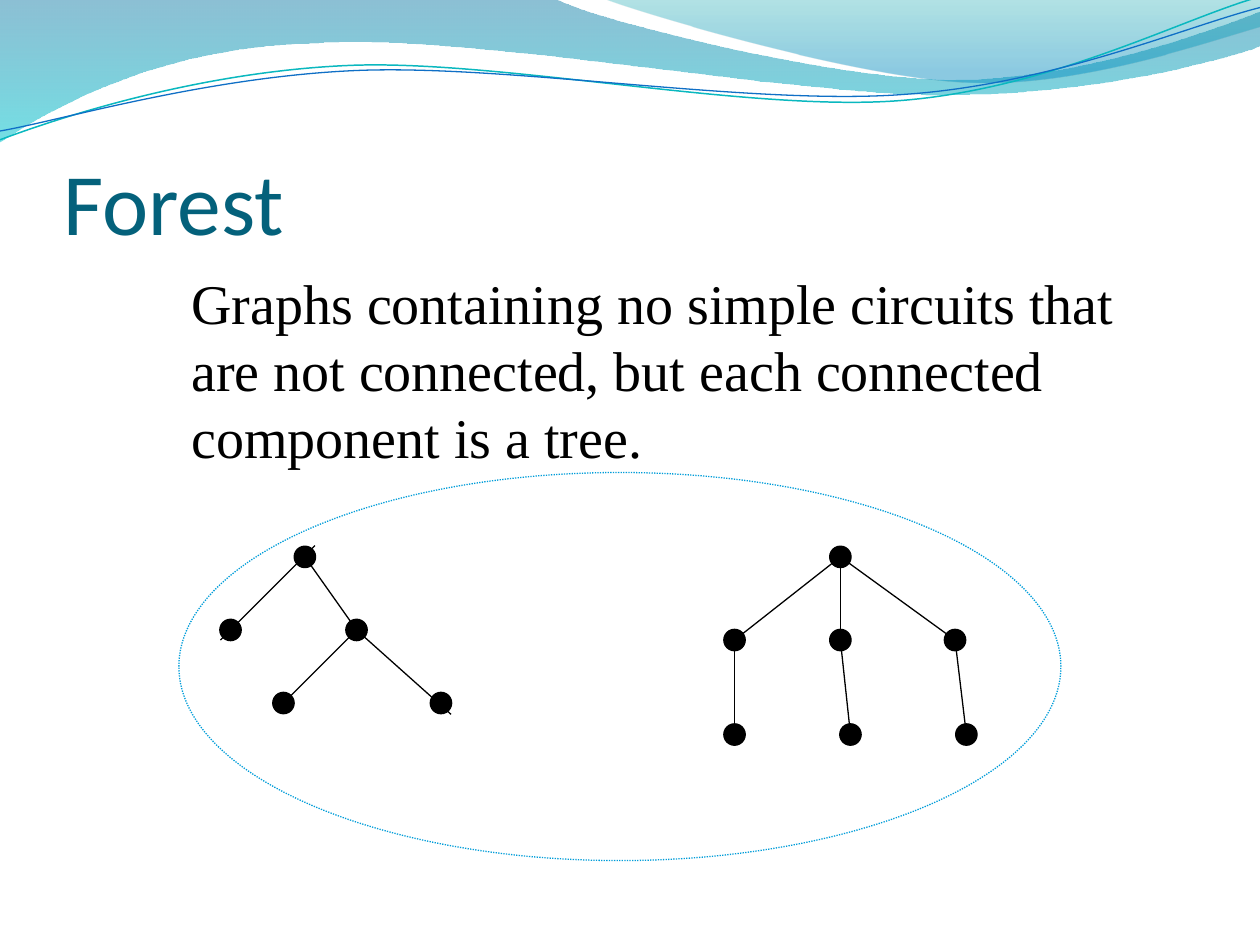
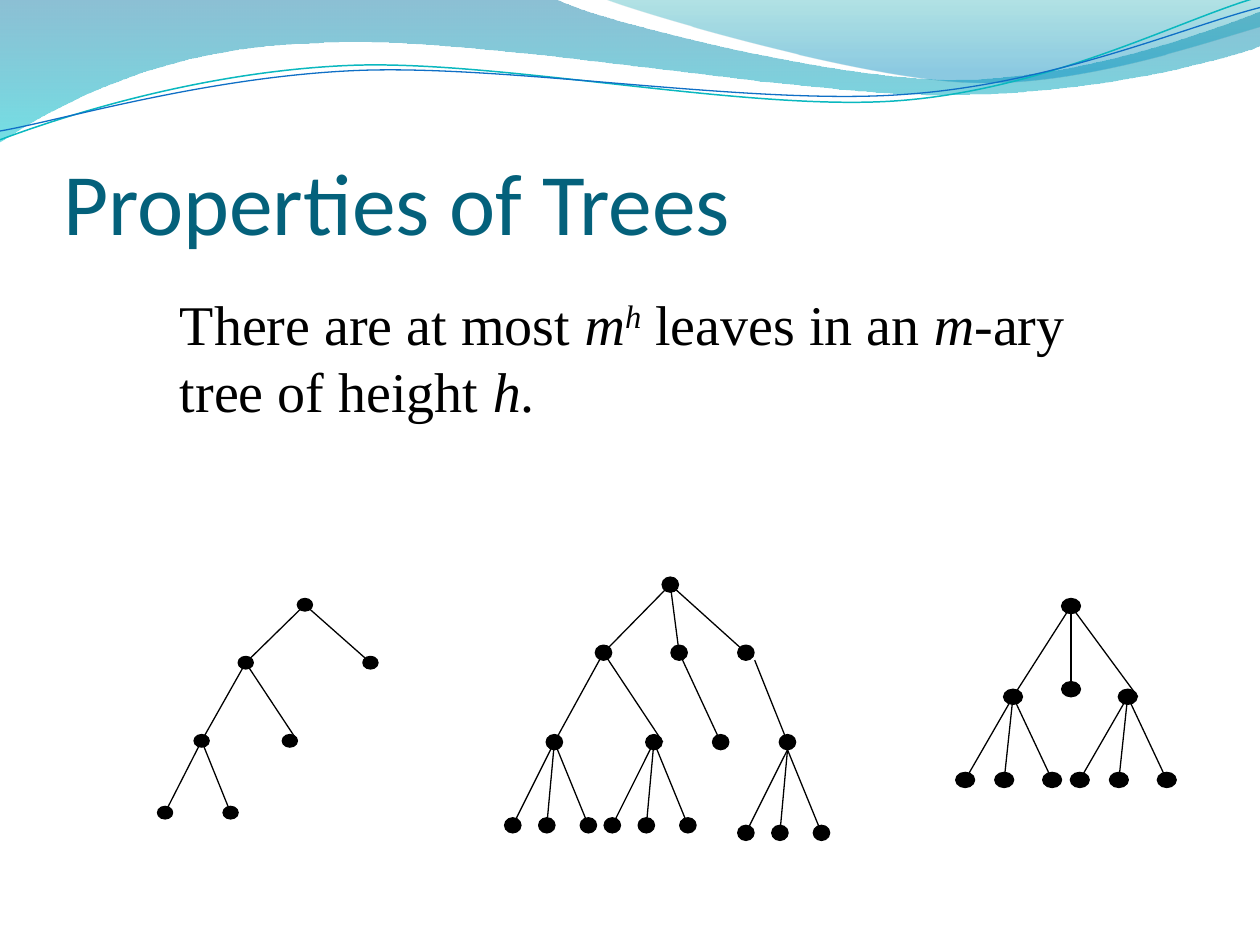
import pptx
import pptx.dml.color
import pptx.enum.dml
import pptx.enum.shapes
import pptx.enum.text
import pptx.oxml.ns
import pptx.util
from lxml import etree

COLORS = {
    "ink": "000000", "title": "04617B", "outline": "009DD9",
    "teal_line": "0AB8BF", "blue_line": "0F6FC6",
    "deep_blue": "0074A1", "cyan": "00C6CF", "teal": "00A1A9", "sky": "008BBF",
}

BROAD_WAVE = [
    [(0, 0)], [(4.4, -0.01)],
    [(4.76, 0.17), (6.64, 0.63), (7.58, 0.63)],
    [(8.53, 0.63), (9.58, 0.26), (10, 0.09)], [(10.01, 0.36)],
    [(9.83, 0.44), (8.7, 0.76), (7.46, 0.75)],
    [(6.22, 0.75), (3.82, 0.28), (2.57, 0.34)],
    [(1.29, 0.36), (0.46, 0.83), (-0.01, 1.13)], [(0, 0)],
]
RIGHT_WAVE = [
    [(4.79, -0.01)],
    [(5.09, 0.11), (6.82, 0.62), (7.69, 0.65)],
    [(8.56, 0.69), (9.61, 0.32), (10, 0.21)], [(10, 0)], [(4.79, -0.01)],
]
TEAL_CURVE = [
    [(0, 1.11)],
    [(0.48, 0.93), (1.58, 0.57), (2.77, 0.52)],
    [(3.95, 0.47), (5.93, 0.89), (7.13, 0.8)],
    [(8.33, 0.71), (9.38, 0.15), (9.98, -0.02)],
]
BLUE_CURVE = [
    [(0, 1.04)],
    [(0.47, 0.96), (1.64, 0.61), (2.83, 0.56)],
    [(4.03, 0.51), (5.97, 0.84), (7.17, 0.75)],
    [(8.36, 0.67), (9.41, 0.21), (10, 0.06)],
]


def inches(*values):
    return [pptx.util.Cm(2.54 * value) for value in values]


def rgb(name):
    return pptx.dml.color.RGBColor.from_string(COLORS[name])


def fan(apex, offsets, drop):
    return [(apex[0] + offset, apex[1] + drop) for offset in offsets]


class TreeDeck:
    """Draws the wave-banded slides about trees, one element at a time."""

    def __init__(self):
        self.deck = pptx.Presentation()
        self.deck.slide_width, self.deck.slide_height = inches(10, 7.5)
        self.layout = self.deck.slide_layouts[6]
        self.page = None

    def new_page(self, title):
        first = self.page is None
        self.page = self.deck.slides.add_slide(self.layout)
        if first:
            self.band()
        frame = self.text((0.5, 0.77, 9.08, 1.24), [(title, "")], "Calibri", 50, "title")
        frame.vertical_anchor = pptx.enum.text.MSO_ANCHOR.BOTTOM
        frame.margin_left, frame.margin_top, frame.margin_right, frame.margin_bottom = inches(
            0, 0.05, 0, 0)

    def band(self):
        self.wave(BROAD_WAVE, [("deep_blue", 45, 0), ("cyan", 55, 1)])
        self.wave(RIGHT_WAVE, [("teal", 30, 0), ("sky", 45, 0.8)])
        self.curve(TEAL_CURVE, "teal_line", 0.85)
        self.curve(BLUE_CURVE, "blue_line", 0.75)
        shared = self.layout.shapes._spTree
        for number, shape in enumerate(list(self.page.shapes), start=101):
            shape._element.nvSpPr.cNvPr.set("id", str(number))
            shared.append(shape._element)

    def freeform(self, segments, close):
        points = [inches(*point) for segment in segments for point in segment]
        builder = self.page.shapes.build_freeform(*points[0])
        builder.add_line_segments(points[1:], close=close)
        shape = builder.convert_to_shape()
        shape.shadow.inherit = False
        steps = iter(list(shape._element.iter(pptx.oxml.ns.qn("a:lnTo"))))
        for segment in segments[1:]:
            corners = [next(steps) for point in segment]
            if len(corners) == 3:
                bend = etree.Element(pptx.oxml.ns.qn("a:cubicBezTo"))
                corners[0].addprevious(bend)
                for corner in corners:
                    bend.append(corner[0])
                    corner.getparent().remove(corner)
        return shape

    def wave(self, segments, stops):
        shape = self.freeform(segments, True)
        shape.line.fill.background()
        shape.fill.gradient()
        shape.fill.gradient_angle = 270
        for stop, (color, opacity, position) in zip(shape.fill.gradient_stops, stops):
            stop.color.rgb = rgb(color)
            stop.position = position
        tags = shape.fill._xPr.iter(pptx.oxml.ns.qn("a:srgbClr"))
        for tag, (color, opacity, position) in zip(tags, stops):
            etree.SubElement(tag, pptx.oxml.ns.qn("a:alpha"), val=str(opacity * 1000))

    def curve(self, segments, color, width):
        shape = self.freeform(segments, False)
        shape.fill.background()
        self.stroke(shape, color, width)

    def stroke(self, shape, color="ink", width=0.75):
        shape.line.color.rgb = rgb(color)
        shape.line.width = pptx.util.Pt(width)

    def text(self, place, spans, font, size, color="ink"):
        frame = self.page.shapes.add_textbox(*inches(*place)).text_frame
        frame.word_wrap = True
        para = frame.paragraphs[0]
        for words, style in spans:
            span = para.add_run()
            span.text = words
            span.font.name = font
            span.font.size = pptx.util.Pt(size)
            span.font.color.rgb = rgb(color)
            span.font.italic = "italic" in style
            if "super" in style:
                span.font._element.set("baseline", "30000")
        return frame

    def statement(self, place, spans):
        frame = self.text(place, spans, "Times New Roman", 32)
        frame.auto_size = pptx.enum.text.MSO_AUTO_SIZE.SHAPE_TO_FIT_TEXT

    def ellipse(self, shapes, place):
        shape = shapes.add_shape(pptx.enum.shapes.MSO_SHAPE.OVAL, *inches(*place))
        shape.shadow.inherit = False
        self.stroke(shape)
        return shape

    def enclosure(self, place):
        shape = self.ellipse(self.page.shapes, place)
        shape.fill.background()
        self.stroke(shape, "outline")
        shape.line.dash_style = pptx.enum.dml.MSO_LINE.ROUND_DOT

    def tree(self, nodes, edges, size, grouped=True):
        shapes = self.page.shapes
        if grouped:
            shapes = shapes.add_group_shape().shapes
        width, height = size
        for x, y in nodes:
            node = self.ellipse(shapes, (x - width / 2, y - height / 2, width, height))
            node.fill.solid()
            node.fill.fore_color.rgb = rgb("ink")
        for edge in edges:
            start, end = [nodes[stop] if isinstance(stop, int) else stop for stop in edge]
            line = shapes.add_connector(pptx.enum.shapes.MSO_CONNECTOR.STRAIGHT,
                                        *inches(*start, *end))
            self.stroke(line)
            etree.SubElement(line._element.spPr, pptx.oxml.ns.qn("a:effectLst"))


def forest_page(deck):
    deck.new_page("Forest")
    deck.statement((1.42, 2.08, 8.17, 1.7), [
        ("Graphs containing no simple circuits that are not connected, "
         "but each connected component is a tree.", "")])
    dot = (0.17, 0.17)
    deck.tree([(2.42, 4.42), (1.83, 5), (2.83, 5), (2.25, 5.58), (3.5, 5.58)],
              [((2.5, 4.33), (1.75, 5.08)), (0, 2), (2, 3), (2, (3.58, 5.67))], dot,
              grouped=False)
    children = [(x, 5.08) for x in (5.83, 6.67, 7.58)]
    leaves = [(x, 5.83) for x in (5.83, 6.75, 7.67)]
    deck.tree([(6.67, 4.42), *children, *leaves],
              [(0, 1), (0, 2), (0, 3), (1, 4), (2, 5), (3, 6)], dot, grouped=False)
    deck.enclosure((1.42, 3.75, 7, 3.08))


def properties_page(deck):
    deck.new_page("Properties of Trees")
    deck.statement((1.33, 2.25, 7.83, 1.17), [
        ("There are at most ", ""), ("m", "italic"), ("h", "italic super"),
        (" leaves in an ", ""), ("m", "italic"), ("-ary tree of height ", ""),
        ("h", "italic"), (".", "")])

    deck.tree([(2.42, 4.8), (1.95, 5.26), (2.94, 5.26), (1.6, 5.88), (2.3, 5.88),
               (1.31, 6.45), (1.83, 6.45)],
              [(0, 1), (0, 2), (1, 3), (1, (2.36, 5.88)), (3, 5), (3, 6)], (0.12, 0.1))

    nodes = [(5.32, 4.64), *[(x, 5.18) for x in (4.79, 5.39, 5.92)],
             *[(x, 5.89) for x in (4.4, 5.19, 5.72, 6.25)]]
    edges = [(0, 1), (0, 2), (0, 3), (1, 4), (1, (5.26, 5.89)), (2, 6), ((5.99, 5.24), 7)]
    grow_leaves(nodes, edges, [nodes[4], nodes[5], (6.25, 5.95)], (-0.33, -0.06, 0.27))
    deck.tree(nodes, edges, (0.13, 0.12))

    nodes = [(8.5, 4.81), (8.04, 5.53), (8.5, 5.47), (8.95, 5.53)]
    edges = [(0, 1), ((8.5, 4.87), (8.5, 5.53)), (0, (9.03, 5.53))]
    grow_leaves(nodes, edges, [nodes[1], nodes[3]], (-0.38, -0.07, 0.31))
    deck.tree(nodes, edges, (0.15, 0.12))


def grow_leaves(nodes, edges, apexes, offsets):
    for apex in apexes:
        leaves = fan(apex, offsets, 0.66)
        nodes += leaves
        edges += [(apex, leaf) for leaf in leaves]


def main():
    deck = TreeDeck()
    forest_page(deck)
    properties_page(deck)
    deck.deck.save("out.pptx")


if __name__ == "__main__":
    main()
